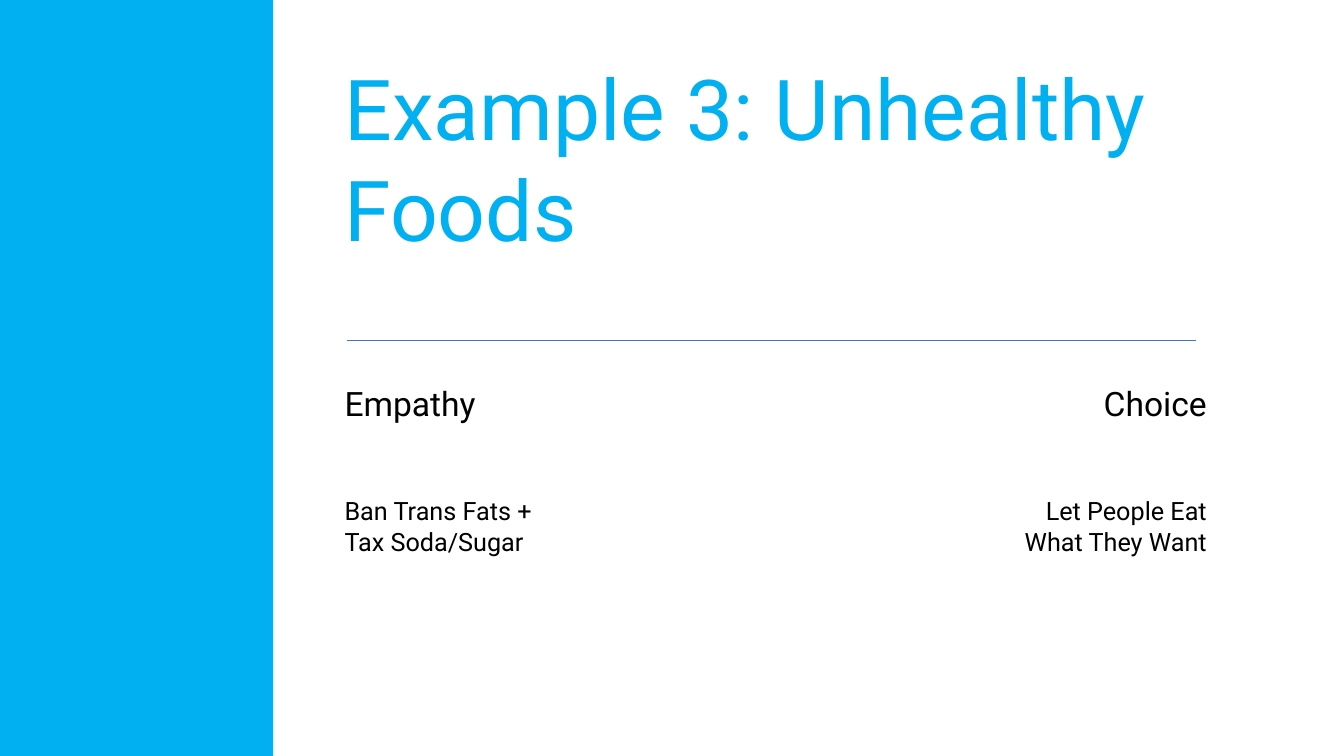
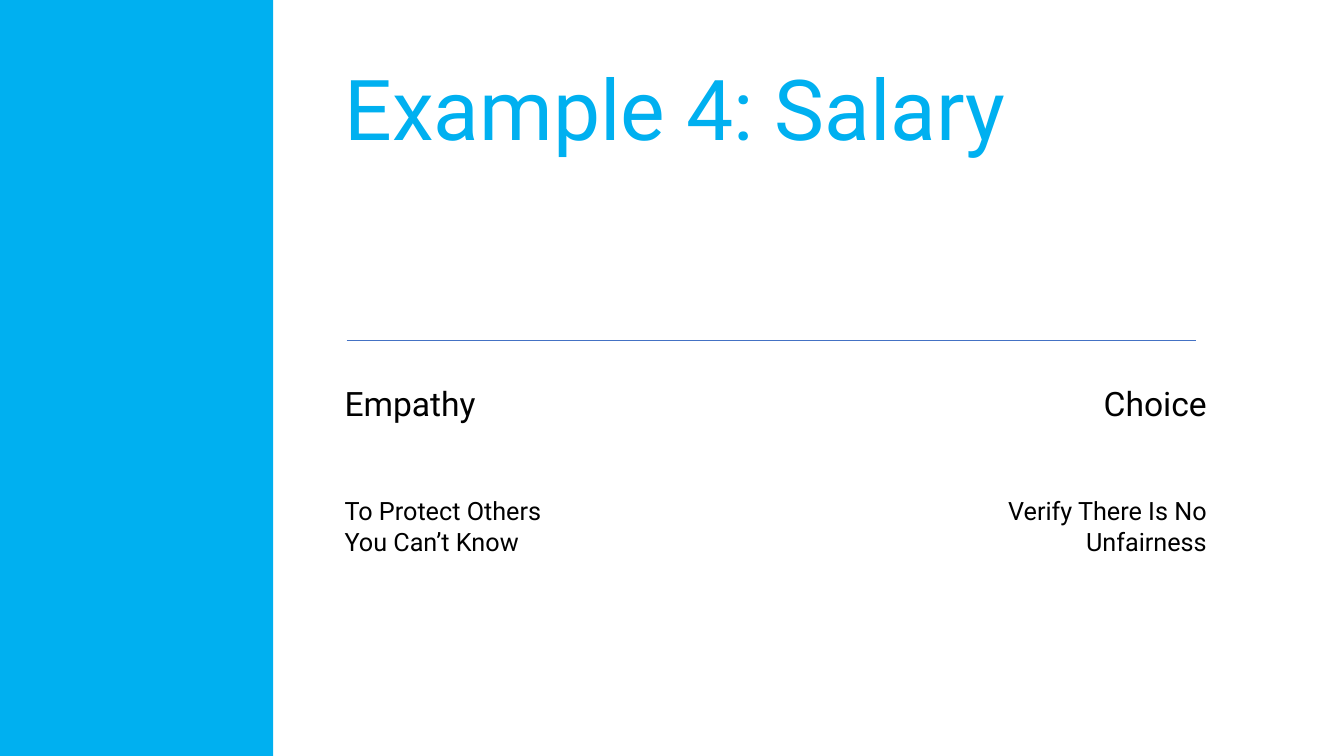
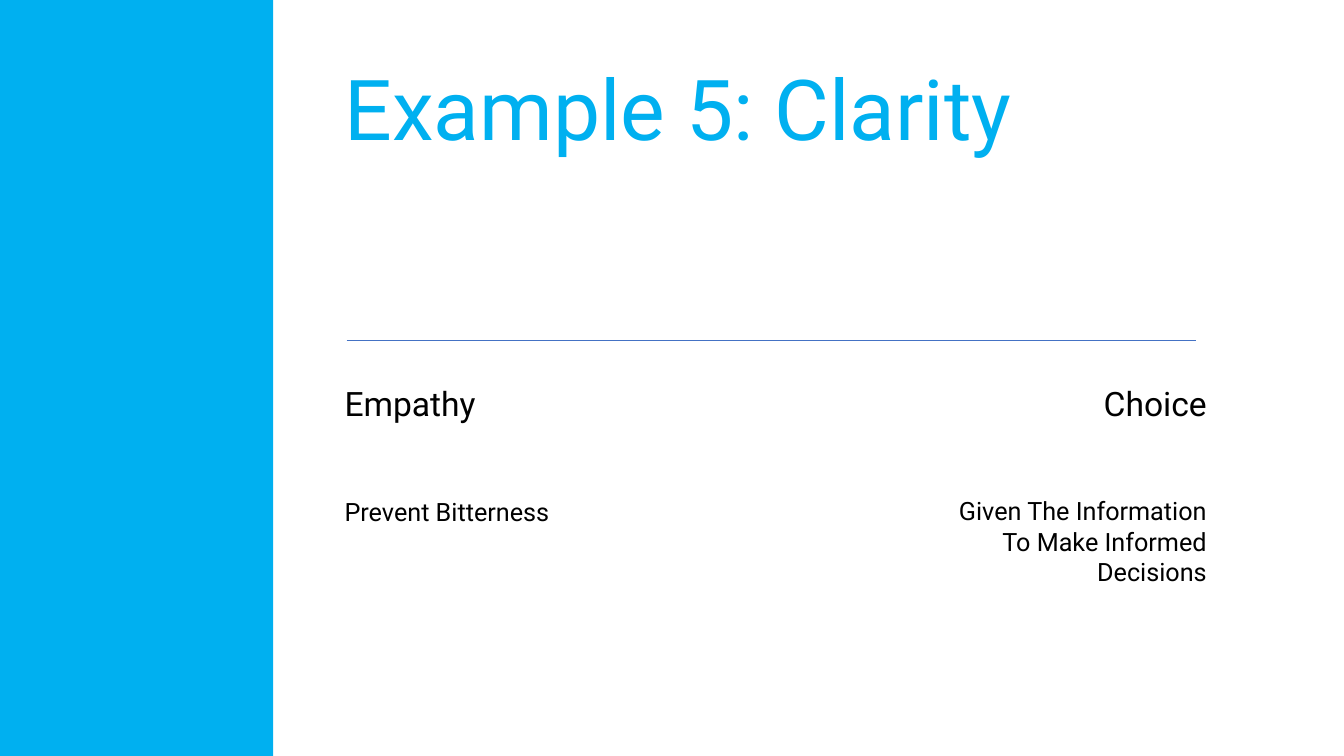
from dataclasses import dataclass

from lxml.etree import SubElement
from pptx import Presentation
from pptx.dml.color import RGBColor as Rgb
from pptx.enum.shapes import MSO_CONNECTOR as Link, MSO_SHAPE as Form
from pptx.enum.text import MSO_AUTO_SIZE as Fit, PP_ALIGN as Align
from pptx.oxml.ns import qn
from pptx.slide import Slide
from pptx.util import Inches, Pt

WIDE, HIGH = Inches(13.33), Inches(7.5)


@dataclass(frozen=True)
class Theme:
    font: str = "Roboto"
    sky: Rgb = Rgb(0x00, 0xB0, 0xF0)
    ink: Rgb = Rgb(0x00, 0x00, 0x00)
    rule: Rgb = Rgb(0x44, 0x72, 0xC4)
    title: int = 60
    head: int = 24
    note: int = 18
    hair: float = 0.5
    step: float = 0.22
    pad: float = 1.4


@dataclass(frozen=True)
class Grid:
    band: float = 20.33
    left: float = 24.9
    right: float = 90.53
    title: float = 69.1
    start: float = 25.8
    end: float = 88.97
    top: float = 6.8
    rule: float = 45.05
    head: float = 50
    note: float = 64.93


@dataclass(frozen=True)
class Side:
    head: str
    note: tuple[str, ...]
    rows: int
    head_w: float
    note_w: float


@dataclass(frozen=True)
class Case:
    title: str
    rows: int
    care: Side
    free: Side


THEME = Theme()
GRID = Grid()


def care(rows: int, *note: str) -> Side:
    return Side("Empathy", note, rows, 11.5, 16.9)


def free(note: str, rows: int, head_w: float, note_w: float) -> Side:
    return Side("Choice", (note,), rows, head_w, note_w)


CASES = (
    Case("Example 3: Unhealthy Foods", 2,
         care(2, "Ban Trans Fats +", "Tax Soda/Sugar"),
         free("Let People Eat What They Want", 2, 13.2, 16.43)),
    Case("Example 4: Salary", 1,
         care(2, "To Protect Others You Can’t Know"),
         free("Verify There Is No Unfairness", 2, 13.2, 16.43)),
    Case("Example 5: Clarity", 1,
         care(1, "Prevent Bitterness"),
         free("Given The Information To Make Informed Decisions", 3, 29.1, 20.78)),
)


def across(share: float) -> int:
    return round(WIDE * share / 100)


def down(share: float) -> int:
    return round(HIGH * share / 100)


def write(slide: Slide, lines: tuple[str, ...], top: float, width: float,
          size: int, rows: int = 1, tint: Rgb = THEME.ink,
          align: Align = Align.LEFT) -> None:
    left = GRID.right - width if align == Align.RIGHT else GRID.left
    tall = THEME.pad + rows * size * THEME.step
    box = slide.shapes.add_textbox(across(left), down(top), across(width), down(tall))
    frame = box.text_frame
    frame.word_wrap = True
    frame.auto_size = Fit.SHAPE_TO_FIT_TEXT
    frame.text = "\n".join(lines)
    for para in frame.paragraphs:
        para.alignment = align
        para.font.name = THEME.font
        para.font.size = Pt(size)
        para.font.color.rgb = tint


def draw_band(slide: Slide) -> None:
    band = slide.shapes.add_shape(Form.RECTANGLE, 0, 0, across(GRID.band), HIGH)
    band.shadow.inherit = False
    band.fill.solid()
    band.fill.fore_color.rgb = THEME.sky
    band.line.fill.background()


def draw_rule(slide: Slide) -> None:
    rule = slide.shapes.add_connector(
        Link.STRAIGHT, across(GRID.start), down(GRID.rule),
        across(GRID.end), down(GRID.rule))
    rule.line.color.rgb = THEME.rule
    rule.line.width = Pt(THEME.hair)
    SubElement(rule._element.spPr, qn("a:effectLst"))


def draw_case(slide: Slide, case: Case) -> None:
    write(slide, (case.title,), GRID.top, GRID.title, THEME.title, case.rows, THEME.sky)
    draw_band(slide)
    for side, align in ((case.care, Align.LEFT), (case.free, Align.RIGHT)):
        write(slide, (side.head,), GRID.head, side.head_w, THEME.head, align=align)
        write(slide, side.note, GRID.note, side.note_w, THEME.note, side.rows, align=align)
    draw_rule(slide)


def main() -> None:
    deck = Presentation()
    deck.slide_width, deck.slide_height = WIDE, HIGH
    for case in CASES:
        draw_case(deck.slides.add_slide(deck.slide_layouts[6]), case)
    deck.save("out.pptx")


if __name__ == "__main__":
    main()
